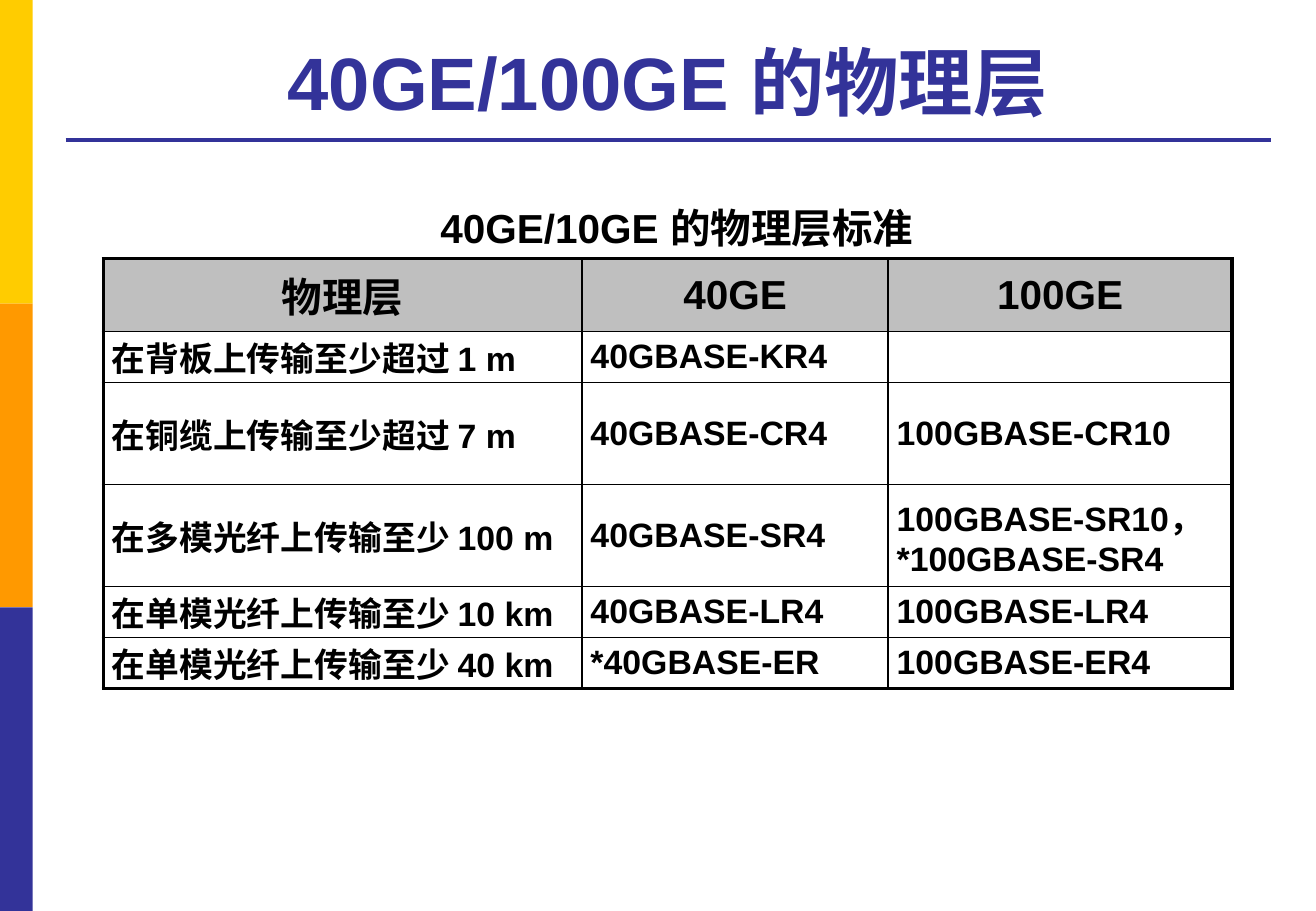
"""Build a slide with a table of the 40GE/100GE physical layer standards."""
from dataclasses import dataclass
from typing import Any

from lxml import etree
from pptx import Presentation
from pptx import util as u
from pptx.dml.color import RGBColor
from pptx.enum import shapes, text
from pptx.oxml import ns


@dataclass(frozen=True)
class Theme:
    font: str = "Arial"
    yellow: str = "FFCC00"
    orange: str = "FF9900"
    blue: str = "333399"
    black: str = "000000"
    grey: str = "BFBFBF"
    title_size: float = 44
    heading_size: float = 24
    cell_size: float = 20
    thick: float = 2.25
    thin: float = 1


@dataclass(frozen=True)
class Band:
    top: float
    colour: str


@dataclass(frozen=True)
class Style:
    size: float
    colour: str
    align: Any
    anchor: Any = text.MSO_ANCHOR.MIDDLE


THEME = Theme()
BAND_WIDTH, BAND_HEIGHT = 0.27, 2.5
BANDS = [Band(row * BAND_HEIGHT, colour)
         for row, colour in enumerate((THEME.yellow, THEME.orange, THEME.blue))]
TITLE = Style(THEME.title_size, THEME.blue, text.PP_ALIGN.CENTER, text.MSO_ANCHOR.BOTTOM)
HEADING = Style(THEME.heading_size, THEME.black, text.PP_ALIGN.CENTER)
ENTRY = Style(THEME.cell_size, THEME.black, text.PP_ALIGN.JUSTIFY)
COLUMN_WIDTHS = (3.94, 2.52, 2.83)
ROW_HEIGHTS = (0.6, 0.42, 0.84, 0.84, 0.42, 0.42)
STANDARDS = (
    ("物理层", "40GE", "100GE"),
    ("在背板上传输至少超过 1 m", "40GBASE-KR4", ""),
    ("在铜缆上传输至少超过 7 m", "40GBASE-CR4", "100GBASE-CR10"),
    ("在多模光纤上传输至少 100 m", "40GBASE-SR4", "100GBASE-SR10，\n*100GBASE-SR4"),
    ("在单模光纤上传输至少 10 km", "40GBASE-LR4", "100GBASE-LR4"),
    ("在单模光纤上传输至少 40 km", "*40GBASE-ER", "100GBASE-ER4"),
)


def apply(target: Any, values: dict[str, Any]) -> None:
    for name, value in values.items():
        setattr(target, name, value)


def inches(*lengths: float) -> list[u.Length]:
    return [u.Inches(length) for length in lengths]


def write(frame: Any, words: str, style: Style) -> None:
    frame.text = words
    for para in frame.paragraphs:
        para.alignment = style.align
        for span in para.runs:
            apply(span.font, {"name": THEME.font, "size": u.Pt(style.size), "bold": True})
            span.font.color.rgb = RGBColor.from_string(style.colour)


def place_text(box: Any, words: str, style: Style) -> None:
    apply(box.text_frame, {"word_wrap": True, "vertical_anchor": style.anchor,
                           "auto_size": text.MSO_AUTO_SIZE.NONE})
    write(box.text_frame, words, style)


def draw_band(page: Any, band: Band) -> None:
    box = page.shapes.add_shape(shapes.MSO_SHAPE.RECTANGLE,
                                *inches(0, band.top, BAND_WIDTH, BAND_HEIGHT))
    box.shadow.inherit = False
    box.fill.solid()
    box.fill.fore_color.rgb = RGBColor.from_string(band.colour)
    box.line.fill.background()


def draw_rule(page: Any) -> None:
    rule = page.shapes.add_connector(shapes.MSO_CONNECTOR.STRAIGHT,
                                     *inches(0.54, 1.15, 10.46, 1.15))
    rule.line.width = u.Pt(THEME.thick)
    rule.line.color.rgb = RGBColor.from_string(THEME.blue)
    etree.SubElement(rule._element.spPr, ns.qn("a:effectLst"))


def draw_border(cell: Any, side: str, outer: bool) -> None:
    width = u.Pt(THEME.thick if outer else THEME.thin)
    line = etree.SubElement(cell._tc.get_or_add_tcPr(), ns.qn(f"a:ln{side}"), w=str(int(width)))
    fill = etree.SubElement(line, ns.qn("a:solidFill"))
    etree.SubElement(fill, ns.qn("a:srgbClr"), val=THEME.black)


def draw_table(page: Any) -> None:
    last_row, last_column = len(ROW_HEIGHTS) - 1, len(COLUMN_WIDTHS) - 1
    table = page.shapes.add_table(
        len(ROW_HEIGHTS), len(COLUMN_WIDTHS),
        *inches(0.85, 2.13, sum(COLUMN_WIDTHS), sum(ROW_HEIGHTS))).table
    apply(table, {"first_row": False, "horz_banding": False})
    for column, width in zip(table.columns, COLUMN_WIDTHS):
        column.width = u.Inches(width)
    for row, height in zip(table.rows, ROW_HEIGHTS):
        row.height = u.Inches(height)
    for i, row_words in enumerate(STANDARDS):
        for j, words in enumerate(row_words):
            cell = table.cell(i, j)
            apply(cell, {"margin_left": u.Inches(0.07), "margin_right": u.Inches(0.07),
                         "margin_top": 0, "margin_bottom": 0,
                         "vertical_anchor": text.MSO_ANCHOR.MIDDLE})
            write(cell.text_frame, words, ENTRY if i else HEADING)
            outer_sides = {"L": j == 0, "R": j == last_column, "T": i == 0, "B": i == last_row}
            for side, outer in outer_sides.items():
                draw_border(cell, side, outer)
            if i:
                cell.fill.background()
            else:
                cell.fill.solid()
                cell.fill.fore_color.rgb = RGBColor.from_string(THEME.grey)


def main() -> None:
    deck = Presentation()
    apply(deck, {"slide_width": u.Inches(10.83), "slide_height": u.Inches(7.5)})
    page = deck.slides.add_slide(deck.slide_layouts[5])
    for band in BANDS:
        draw_band(page, band)
    draw_rule(page)
    title = page.shapes.title
    apply(title, dict(zip(("left", "top", "width", "height"), inches(0.54, 0.21, 9.91, 0.87))))
    place_text(title, "40GE/100GE 的物理层", TITLE)
    draw_table(page)
    caption = page.shapes.add_textbox(*inches(1.95, 1.62, 7.24, 0.5))
    place_text(caption, "40GE/10GE 的物理层标准", HEADING)
    deck.save("out.pptx")


if __name__ == "__main__":
    main()
